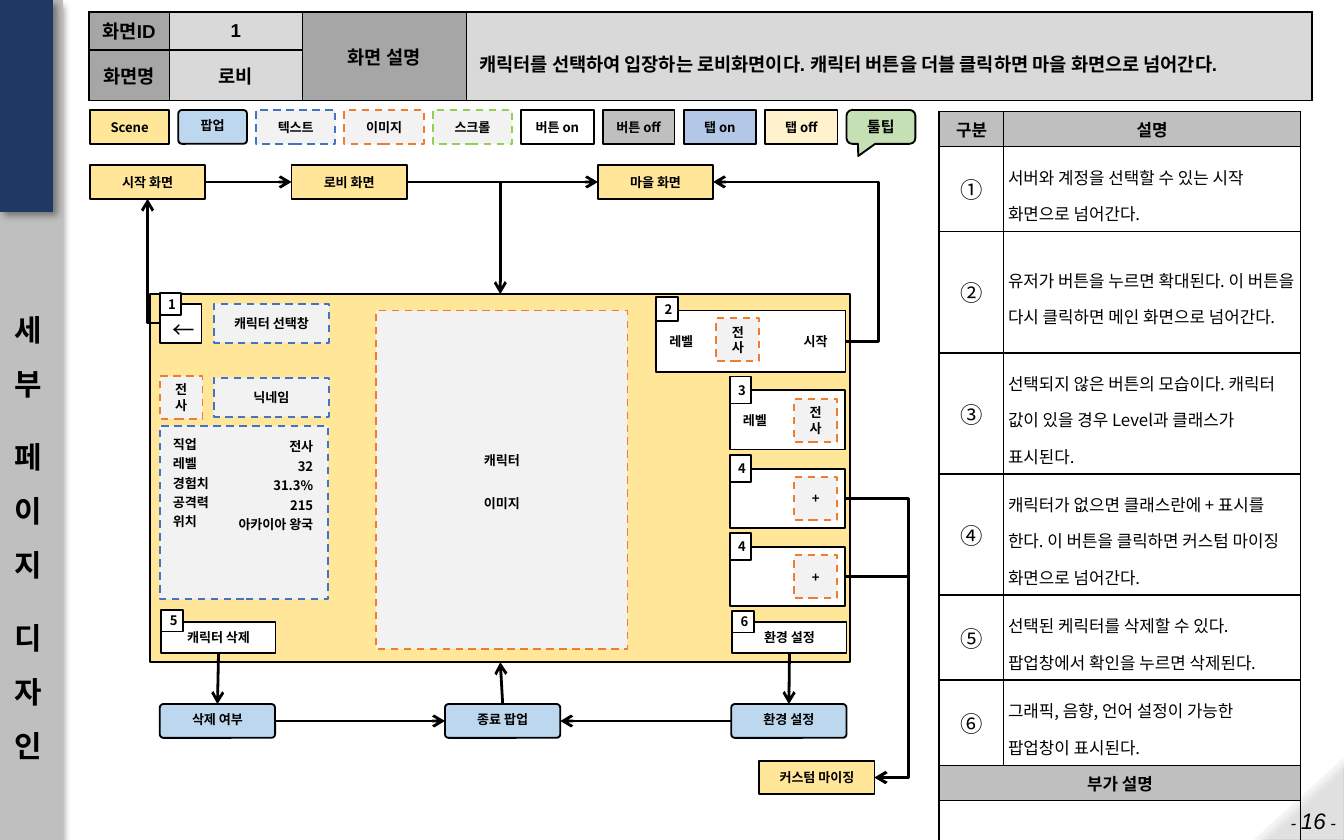
from lxml import etree
from pptx import Presentation, util as u
from pptx.dml.color import RGBColor
from pptx.enum import dml, shapes, text
from pptx.oxml import ns

CJK = "Noto Sans CJK KR"
LEFT, CENTER, RIGHT = text.PP_ALIGN.LEFT, text.PP_ALIGN.CENTER, text.PP_ALIGN.RIGHT
TOP, MIDDLE = text.MSO_ANCHOR.TOP, text.MSO_ANCHOR.MIDDLE
FORM = shapes.MSO_SHAPE

# style: outline shape, fill, line colour (None for no line), dashed
STYLES = {
    "scene": (FORM.RECTANGLE, "FFE699", "000000", False),
    "popup": (FORM.ROUNDED_RECTANGLE, "BDD7EE", "000000", False),
    "text": (FORM.RECTANGLE, "F2F2F2", "4472C4", True),
    "image": (FORM.RECTANGLE, "F2F2F2", "ED7D31", True),
    "scroll": (FORM.RECTANGLE, "F2F2F2", "92D050", True),
    "button": (FORM.RECTANGLE, "FFFFFF", "000000", False),
    "button off": (FORM.RECTANGLE, "BFBFBF", "000000", False),
    "tab on": (FORM.RECTANGLE, "B4C7E7", "000000", False),
    "tab off": (FORM.RECTANGLE, "FFF2CC", "000000", False),
    "tooltip": (FORM.ROUNDED_RECTANGULAR_CALLOUT, "C5E0B4", "000000", False),
    "values": (FORM.RECTANGLE, "F2F2F2", None, False),
    "band": (FORM.RECTANGLE, "BFBFBF", None, False),
    "corner": (FORM.RIGHT_TRIANGLE, "F2F2F2", None, False),
}
LEGEND = [("scene", "Scene", 1.5), ("popup", "팝업", 1.3), ("text", "텍스트", 1.5),
          ("image", "이미지", 1.5), ("scroll", "스크롤", 1.5), ("button", "버튼 on", 1.37),
          ("button off", "버튼 off", 1.36), ("tab on", "탭 on", 1.37),
          ("tab off", "탭 off", 1.37), ("tooltip", "툴팁", 1.3)]
# name: style, text, left, top, width, height
PARTS = {
    "panel": ("scene", "", 2.84, 5.56, 13.23, 6.96),
    "start": ("scene", "시작 화면", 1.7, 3.12, 2.18, 0.64),
    "lobby": ("scene", "로비 화면", 5.51, 3.12, 2.18, 0.64),
    "town": ("scene", "마을 화면", 11.3, 3.12, 2.18, 0.64),
    "custom": ("scene", "커스텀 마이징", 14.35, 14.38, 2.18, 0.64),
    "delete popup": ("popup", "삭제 여부", 3.02, 13.31, 2.18, 0.64),
    "quit popup": ("popup", "종료 팝업", 8.41, 13.31, 2.18, 0.64),
    "settings popup": ("popup", "환경 설정", 13.82, 13.31, 2.18, 0.64),
    "delete": ("button", "캐릭터 삭제", 3.05, 11.76, 2.16, 0.58),
    "settings": ("button", "환경 설정", 13.84, 11.76, 2.16, 0.58),
    "title": ("text", "캐릭터 선택창", 4.04, 5.74, 2.18, 0.74),
    "nickname": ("text", "닉네임", 4.04, 7.14, 2.18, 0.74),
    "class": ("image", "전사", 3.02, 7.11, 0.81, 0.81),
}
SLOTS = [("3", "레벨", "전사"), ("4", "", "+"), ("4", "", "+")]
BADGES = [("1", 3.02, 5.54, 0.41), ("2", 12.4, 5.61, 0.46),
          ("5", 3.05, 11.53, 0.41), ("6", 13.84, 11.55, 0.41)]
STATS = [("직업", "전사"), ("레벨", "32"), ("경험치", "31.3%"), ("공격력", "215"),
         ("위치", "아카이아 왕국")]
# from, side, to, side, turning x for arrows that bend twice
N, W, S, E = range(4)
ARROWS = [
    ("start", E, "lobby", W, None), ("lobby", E, "town", W, None),
    ("lobby", E, "panel", N, None), ("back", W, "start", S, None),
    ("selected", E, "town", E, 16.61),
    ("slot 1", E, "custom", E, 17.17), ("slot 2", E, "custom", E, 17.17),
    ("delete", S, "delete popup", N, None), ("settings", S, "settings popup", N, None),
    ("delete popup", E, "quit popup", W, None),
    ("settings popup", W, "quit popup", E, None), ("quit popup", N, "panel", S, None),
]
NOTES = [
    ("①", "서버와 계정을 선택할 수 있는 시작 화면으로 넘어간다.", 1.61),
    ("②", "유저가 버튼을 누르면 확대된다. 이 버튼을 다시 클릭하면 메인 화면으로 넘어간다.", 2.29),
    ("③", "선택되지 않은 버튼의 모습이다. 캐릭터 값이 있을 경우 Level과 클래스가 표시된다.", 2.29),
    ("④", "캐릭터가 없으면 클래스란에 + 표시를 한다. 이 버튼을 클릭하면 커스텀 마이징 화면으로 넘어간다.", 2.29),
    ("⑤", "선택된 케릭터를 삭제할 수 있다. 팝업창에서 확인을 누르면 삭제된다.", 1.61),
    ("⑥", "그래픽, 음향, 언어 설정이 가능한 팝업창이 표시된다.", 1.61),
]
SUMMARY = "캐릭터를 선택하여 입장하는 로비화면이다. 캐릭터 버튼을 더블 클릭하면 마을 화면으로 넘어간다."

prs = Presentation()
prs.slide_width, prs.slide_height = u.Cm(25.4), u.Cm(15.88)
slide = prs.slides.add_slide(prs.slide_layouts[6])


def rgb(value):
    return RGBColor.from_string(value)


def sub(parent, tag, **attrs):
    return etree.SubElement(parent, ns.qn(tag), attrs)


def write(frame, content, size=7, bold=True, align=CENTER, spacing=None, font=CJK):
    frame.text = content
    for para in frame.paragraphs:
        para.alignment = align
        if spacing:
            para.line_spacing = spacing
        for run in para.runs:
            style(run, size, bold, font)


def style(run, size, bold=False, font=CJK, italic=None):
    run.font.size, run.font.bold, run.font.italic = u.Pt(size), bold, italic
    run.font.color.rgb = rgb("000000")
    run.font.name = font
    sub(run.font._element, "a:ea", typeface=CJK)


def part(kind, content, x, y, w, h, anchor=MIDDLE, **format):
    form, fill, line, dashed = STYLES[kind]
    shape = slide.shapes.add_shape(form, u.Cm(x), u.Cm(y), u.Cm(w), u.Cm(h))
    shape.shadow.inherit = False
    shape.fill.solid()
    shape.fill.fore_color.rgb = rgb(fill)
    if line:
        shape.line.color.rgb = rgb(line)
        shape.line.width = u.Pt(1)
        if dashed:
            shape.line.dash_style = dml.MSO_LINE.DASH
    else:
        shape.line.fill.background()
    if kind == "popup":
        shape.adjustments[0] = 0.11
    shape.text_frame.word_wrap = True
    shape.text_frame.vertical_anchor = TOP if kind == "popup" else anchor
    if content:
        write(shape.text_frame, content, **format)
    return shape


def cast_shadow(shape, degrees):
    shape.shadow.inherit = False
    effects = shape._element.spPr.find(ns.qn("a:effectLst"))
    shadow = sub(effects, "a:outerShdw", blurRad=str(u.Pt(4)), dist=str(u.Pt(3)),
                 dir=str(degrees * 60000), algn="t", rotWithShape="0")
    sub(sub(shadow, "a:srgbClr", val="000000"), "a:alpha", val="40000")


def arrow(start, start_side, end, end_side, turn):
    bent = turn is not None or start_side % 2 != end_side % 2
    kind = shapes.MSO_CONNECTOR.ELBOW if bent else shapes.MSO_CONNECTOR.STRAIGHT
    line = slide.shapes.add_connector(kind, 0, 0, 0, 0)
    line.begin_connect(start, start_side)
    line.end_connect(end, end_side)
    line.line.color.rgb = rgb("000000")
    line.line.width = u.Pt(1.5)
    sub(line.line._get_or_add_ln(), "a:tailEnd", type="arrow")
    sub(line._element.spPr, "a:effectLst")
    geometry = line._element.spPr.find(ns.qn("a:prstGeom"))
    if turn is not None:
        ratio = (u.Cm(turn) - line.begin_x) / (line.end_x - line.begin_x)
        guides = geometry.get_or_add_avLst()
        sub(guides, "a:gd", name="adj1", fmla=f"val {round(ratio * 100000)}")
    elif bent:
        geometry.set("prst", "bentConnector2")


def grid(x, y, widths, heights):
    frame = slide.shapes.add_table(len(heights), len(widths), u.Cm(x), u.Cm(y),
                                   u.Cm(sum(widths)), u.Cm(sum(heights)))
    table = frame.table
    for column, width in zip(table.columns, widths):
        column.width = u.Cm(width)
    for row, height in zip(table.rows, heights):
        row.height = u.Cm(height)
    last = len(widths) - 1
    for row in table.rows:
        for i, cell in enumerate(row.cells):
            edges = {"lnL": 0.5 if i else 1, "lnR": 0.5 if i < last else 1, "lnT": 1, "lnB": 1}
            for edge, points in edges.items():
                ln = sub(cell._tc.get_or_add_tcPr(), f"a:{edge}", w=str(u.Pt(points)))
                sub(sub(ln, "a:solidFill"), "a:srgbClr", val="000000")
            cell.fill.background()
    return table


def fill_cell(cell, content, fill=None, margin=0.1, **format):
    cell.margin_left = u.Cm(margin)
    cell.margin_right = cell.margin_top = cell.margin_bottom = u.Cm(0.1)
    cell.vertical_anchor = MIDDLE
    if fill:
        cell.fill.solid()
        cell.fill.fore_color.rgb = rgb(fill)
    write(cell.text_frame, content, **format)


# Side band, ribbon, page corner
cast_shadow(part("band", "", 0, 0, 1.19, 15.88), 90)
corner = part("corner", "", 23.77, 14.25, 1.55, 1.7)
corner.rotation = 270
sub(corner.fill._xPr.find(ns.qn("a:solidFill"))[0], "a:alpha", val="70000")
cast_shadow(corner, 45)
outline = slide.shapes.build_freeform(0, 0, scale=u.Cm(1))
outline.add_line_segments([(1.32, 0), (1.32, 3.51), (0, 4.11)])
ribbon = outline.convert_to_shape()
ribbon.fill.solid()
ribbon.fill.fore_color.rgb = rgb("203864")
ribbon.line.fill.background()
cast_shadow(ribbon, 45)

section = slide.shapes.add_textbox(u.Cm(0.03), u.Cm(4.11), u.Cm(1.17), u.Cm(11.76)).text_frame
section.word_wrap, section.vertical_anchor = True, MIDDLE
write(section, "세부\n페이지\n디자인", 16, align=LEFT, spacing=u.Pt(29), font="Arial")
for word in section.paragraphs[1:]:
    word.space_before = u.Pt(10)

page = slide.shapes.add_textbox(u.Cm(22.71), u.Cm(15.14), u.Cm(2.79), u.Cm(0.51)).text_frame
page.word_wrap = True
page.paragraphs[0].alignment = RIGHT
for piece, size in (("- ", 9), ("16", 12), (" -", 9)):
    run = page.paragraphs[0].add_run()
    run.text = piece
    style(run, size, font="Arial", italic=True)

# Legend
x = 1.7
for kind, label, width in LEGEND:
    key = part(kind, label, x, 2.08, width, 0.64, size=8 if kind == "tooltip" else 7)
    x += width + 0.17
key.adjustments[0], key.adjustments[1] = -0.33, 0.86

# Screen flow
placed = {name: part(*spec) for name, spec in PARTS.items()}
placed["back"] = part("button", "←", 3.02, 5.74, 0.79, 0.74, size=12, bold=False, spacing=1.5)
placed["selected"] = part("button", "레벨\t시작", 12.4, 5.87, 3.58, 1.17, align=LEFT)
tabs = sub(placed["selected"].text_frame.paragraphs[0]._p.get_or_add_pPr(), "a:tabLst")
sub(tabs, "a:tab", pos=str(u.Cm(2.54)), algn="l")
part("image", "전사", 13.54, 6.02, 0.81, 0.81)
for i, (number, label, icon) in enumerate(SLOTS):
    top = 7.38 + 1.48 * i
    placed[f"slot {i}"] = part("button", label, 13.79, top, 2.18, 1.12, align=LEFT)
    part("button", number, 13.79, top - 0.26, 0.41, 0.51)
    part("image", icon, 15.01, top + 0.16, 0.81, 0.81)
for number, left, top, height in BADGES:
    part("button", number, left, top, 0.41, height)
portrait = part("image", "캐릭터\n이미지", 7.11, 5.87, 4.75, 6.4, spacing=1.24)
portrait.text_frame.paragraphs[1].space_before = u.Pt(12.5)
labels, values = ("\n".join(column) for column in zip(*STATS))
part("text", labels, 3.02, 8.05, 3.18, 3.28, anchor=TOP, align=LEFT, spacing=1.24)
part("values", values, 4.04, 8.1, 2.13, 3.2, anchor=TOP, align=RIGHT, spacing=1.24)
for start, start_side, end, end_side, turn in ARROWS:
    arrow(placed[start], start_side, placed[end], end_side, turn)

# Explanation table
notes = grid(17.75, 2.11, [1.22, 5.61], [0.66, *(n[2] for n in NOTES), 0.66, 0.81])
for column, heading in enumerate(("구분", "설명")):
    fill_cell(notes.cell(0, column), heading, "BFBFBF", size=9)
for row, (number, note, _) in enumerate(NOTES, 1):
    fill_cell(notes.cell(row, 0), number, size=12, bold=False)
    fill_cell(notes.cell(row, 1), note, margin=0.08, size=9, bold=False, align=LEFT, spacing=1.5)
for row in (7, 8):
    notes.cell(row, 0).merge(notes.cell(row, 1))
fill_cell(notes.cell(7, 0), "부가 설명", "BFBFBF", size=9)

# Screen header table
header = grid(1.68, 0.23, [1.52, 2.51, 3.1, 15.99], [0.71, 0.96])
for column in (2, 3):
    header.cell(0, column).merge(header.cell(1, column))
for row, column, content, fill in ((0, 0, "화면ID", "A6A6A6"), (0, 1, "1", "D9D9D9"),
                                   (1, 0, "화면명", "A6A6A6"), (1, 1, "로비", "D9D9D9"),
                                   (0, 2, "화면 설명", "A6A6A6")):
    fill_cell(header.cell(row, column), content, fill, size=10, font="Arial")
fill_cell(header.cell(0, 3), SUMMARY, "D9D9D9", margin=0.25, size=10, align=LEFT,
          spacing=1.5, font="Arial")

prs.save("out.pptx")
